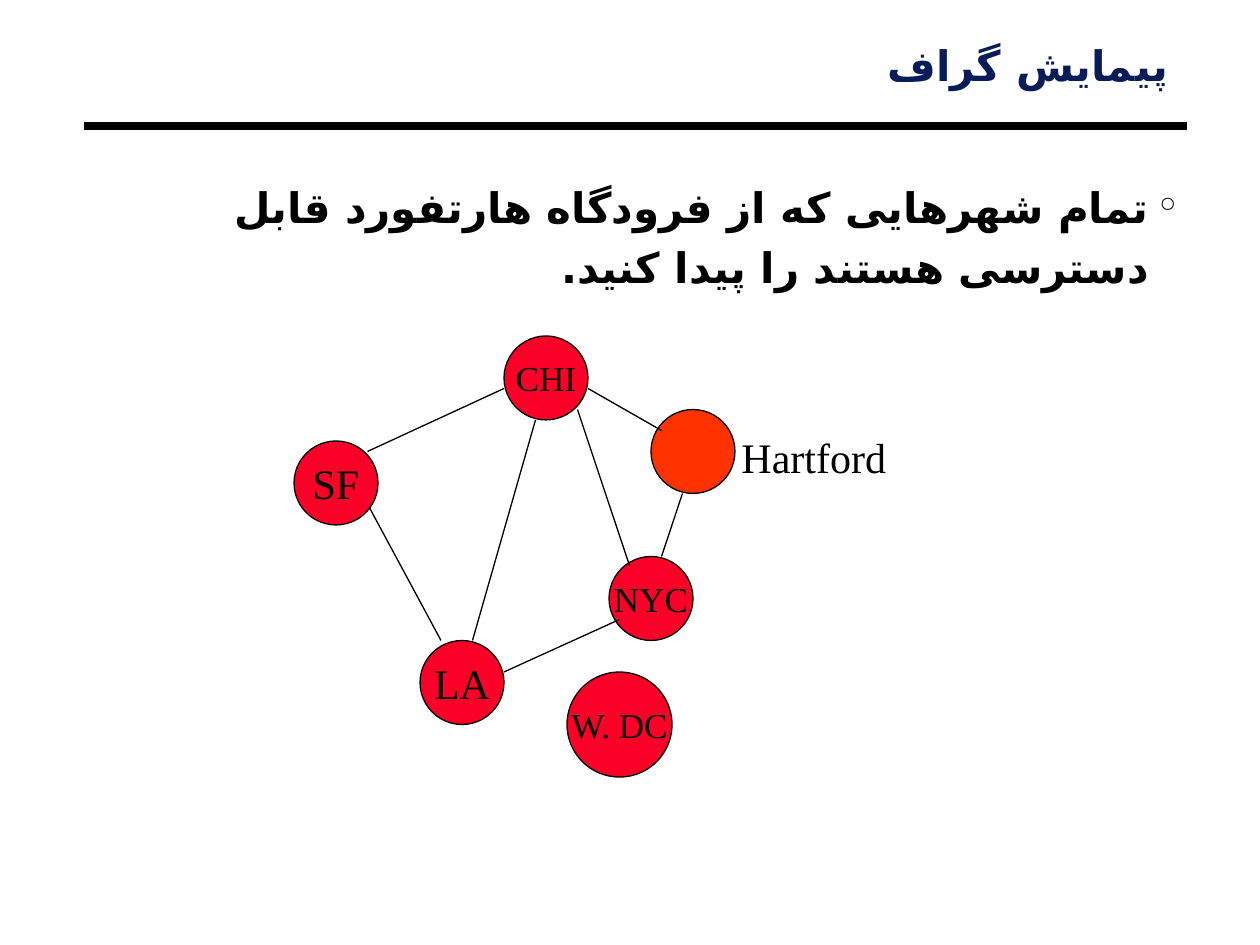
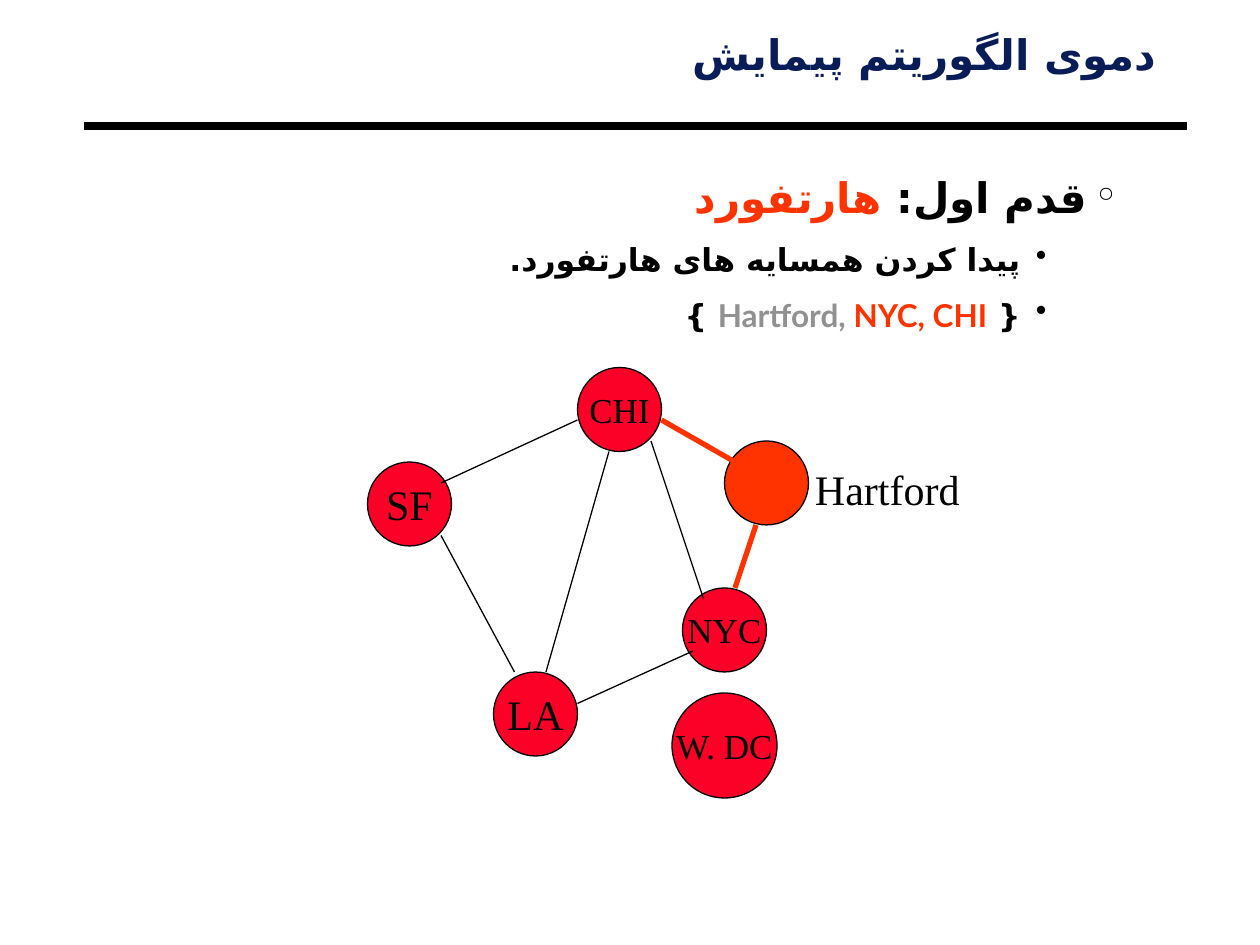
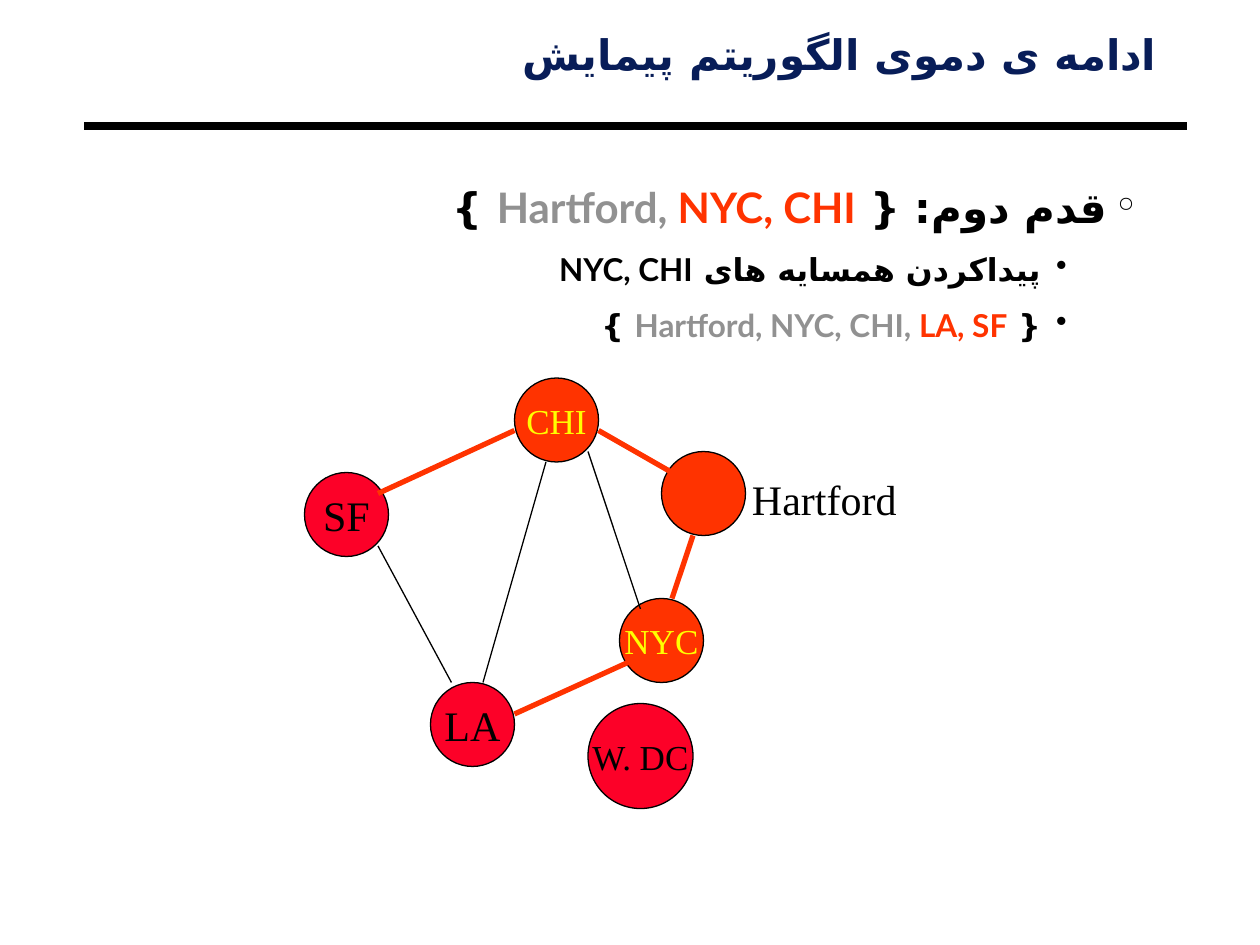
from dataclasses import dataclass

from lxml import etree
from pptx import Presentation
from pptx.dml.color import RGBColor
from pptx.enum.shapes import MSO_CONNECTOR, MSO_SHAPE
from pptx.enum.text import MSO_ANCHOR, PP_ALIGN
from pptx.oxml.ns import qn
from pptx.util import Inches, Pt

OVAL = MSO_SHAPE.OVAL
STRAIGHT = MSO_CONNECTOR.STRAIGHT
MIDDLE = MSO_ANCHOR.MIDDLE
CENTER, RIGHT = PP_ALIGN.CENTER, PP_ALIGN.RIGHT


@dataclass(frozen=True)
class Theme:
    black: str = "000000"
    navy: str = "081D58"
    red: str = "FC0128"
    hot: str = "FF3300"
    grey: str = "919191"
    yellow: str = "FFFF00"
    head: str = "Arial"
    body: str = "Lato"
    node: str = "Times New Roman"
    script: str = "DejaVu Sans"  # Persian letters
    big: int = 24
    mid: int = 20
    small: int = 18
    thin: float = 0.75
    thick: float = 3
    rule: float = 4.5


T = Theme()

# Bullet levels: sign, indent, hang, type size
LEVELS = [("°", 0.22, 0.22, T.big), ("•", 0.75, 0.21, T.small)]

# Graph layout in twelfths of an inch, from the corner of the CHI circle
UNIT = 1 / 12
NODES = {"CHI": (0, 0, 8, T.mid), "Hartford": (14, 7, 8, T.big),
         "LA": (-8, 29, 8, T.big), "SF": (-20, 9, 8, T.big),
         "NYC": (10, 21, 8, T.mid), "W. DC": (7, 31, 10, T.mid)}
EDGES = {"SF-CHI": (-13, 11, 0, 5), "CHI-LA": (3, 8, -3, 29),
         "CHI-NYC": (7, 7, 12, 22), "LA-NYC": (0, 32, 11, 27),
         "CHI-Hartford": (8, 5, 15, 9), "Hartford-NYC": (17, 15, 15, 21)}
BACK = (-13, 16, -6, 29)  # SF-LA runs behind the circles
LABEL = (22, 8, 15, 7)


def rgb(code):
    return RGBColor.from_string(code)


def add_run(para, text, font, size, color, bold=False):
    run = para.add_run()
    run.text = text
    run.font.name = font
    run.font.size = Pt(size)
    run.font.bold = bold
    run.font.color.rgb = rgb(color)
    props = run._r.get_or_add_rPr()
    etree.SubElement(props, qn("a:cs")).set("typeface", T.script)


def add_line(shapes, ends, color, width):
    line = shapes.add_connector(STRAIGHT, *map(Inches, ends))
    line.line.color.rgb = rgb(color)
    line.line.width = Pt(width)
    etree.SubElement(line._element.spPr, qn("a:effectLst"))


def add_box(slide, box):
    frame = slide.shapes.add_textbox(*map(Inches, box)).text_frame
    frame.word_wrap = True
    frame.margin_left = frame.margin_right = Inches(0.07)
    frame.margin_top = frame.margin_bottom = Inches(0.03)
    return frame


def set_rtl(para, spacing):
    para.alignment = RIGHT
    para.line_spacing = spacing
    props = para._p.get_or_add_pPr()
    props.set("rtl", "1")
    return props


def add_title(slide, text, box):
    add_line(slide.shapes, (0.67, 1, 9.42, 1), T.black, T.rule)
    para = add_box(slide, box).paragraphs[0]
    set_rtl(para, 0.87)
    add_run(para, text, T.head, T.big, T.navy, True)


def add_list(slide, box, items):
    frame = add_box(slide, box)
    for i, (level, runs) in enumerate(items):
        para = frame.add_paragraph() if i else frame.paragraphs[0]
        para.level = level
        sign, indent, hang, size = LEVELS[level]
        props = set_rtl(para, 1.2)
        para.space_before = Pt(6 if i else 0)
        props.set("marL", str(Inches(indent)))
        props.set("indent", str(-Inches(hang)))
        color = etree.SubElement(props, qn("a:buClr"))
        etree.SubElement(color, qn("a:srgbClr")).set("val", T.black)
        etree.SubElement(props, qn("a:buChar")).set("char", sign)
        for text, tint in runs:
            add_run(para, text, T.body, size, tint, True)


def set_label(shape, text, size, color):
    frame = shape.text_frame
    frame.word_wrap = False
    frame.margin_left = frame.margin_right = 0
    frame.vertical_anchor = MIDDLE
    para = frame.paragraphs[0]
    para.alignment = CENTER
    add_run(para, text, T.node, size, color)


def add_node(shapes, box, fill):
    node = shapes.add_shape(OVAL, *map(Inches, box))
    node.shadow.inherit = False
    node.fill.solid()
    node.fill.fore_color.rgb = rgb(fill)
    node.line.color.rgb = rgb(T.black)
    node.line.width = Pt(T.thin)
    return node


def add_graph(slide, left, top, seen=(), paths=(), moved=None):
    """Draw the city graph; seen cities and paths are highlighted."""
    shapes = slide.shapes.add_group_shape().shapes

    def place(x, y):
        return (left + x) * UNIT, (top + y) * UNIT

    def join(ends, hot=False):
        points = place(*ends[:2]) + place(*ends[2:])
        style = (T.hot, T.thick) if hot else (T.black, T.thin)
        add_line(shapes, points, *style)

    join(BACK)
    for name, (x, y, side, size) in NODES.items():
        x, y = (moved or {}).get(name, (x, y))
        start = name == "Hartford"
        hot = start or name in seen
        box = place(x, y) + (side * UNIT, side * UNIT)
        node = add_node(shapes, box, T.hot if hot else T.red)
        if not start:
            set_label(node, name, size, T.yellow if hot else T.black)
    for name, ends in EDGES.items():
        join(ends, name in paths)
    x, y, wide, high = LABEL
    box = place(x, y) + (wide * UNIT, high * UNIT)
    label = shapes.add_textbox(*map(Inches, box))
    set_label(label, "Hartford", T.big, T.black)


def main():
    deck = Presentation()
    deck.slide_width, deck.slide_height = Inches(10), Inches(7.5)
    blank = deck.slide_layouts[6]
    demo = (0.75, 0.25, 8.5, 0.42)
    first = ("CHI-Hartford", "Hartford-NYC")

    # Slide 1: the task
    slide = deck.slides.add_slide(blank)
    add_title(slide, "پیمایش گراف", (0.67, 0.34, 8.67, 0.42))
    task = "تمام شهرهایی که از فرودگاه هارتفورد قابل دسترسی هستند را پیدا کنید."
    add_list(slide, (0.58, 1.33, 8.83, 1.02), [(0, [(task, T.black)])])
    add_graph(slide, 48, 32, moved={"SF": (-20, 10), "W. DC": (6, 32)})

    # Slide 2: first step
    slide = deck.slides.add_slide(blank)
    add_title(slide, "دموی الگوریتم پیمایش", demo)
    add_list(slide, (0.42, 1.25, 8.5, 1.44), [
        (0, [("قدم اول: ", T.black), ("هارتفورد", T.hot)]),
        (1, [("پیدا کردن همسایه های هارتفورد.", T.black)]),
        (1, [("{ ", T.black), ("Hartford,", T.grey),
             (" NYC, CHI", T.hot), (" }", T.black)])])
    add_graph(slide, 55, 35, paths=first, moved={"W. DC": (9, 31)})

    # Slide 3: second step
    slide = deck.slides.add_slide(blank)
    add_title(slide, "ادامه ی دموی الگوریتم پیمایش", demo)
    add_list(slide, (0.58, 1.33, 8.5, 1.44), [
        (0, [("قدم دوم: { ", T.black), ("Hartford,", T.grey),
             (" NYC, CHI", T.hot), (" }", T.black)]),
        (1, [("پیداکردن همسایه های NYC, CHI", T.black)]),
        (1, [("{ ", T.black), ("Hartford, NYC, CHI, ", T.grey),
             ("LA, SF", T.hot), (" }", T.black)])])
    add_graph(slide, 49, 36, ("CHI", "NYC"), first + ("SF-CHI", "LA-NYC"))

    deck.save("out.pptx")


if __name__ == "__main__":
    main()
